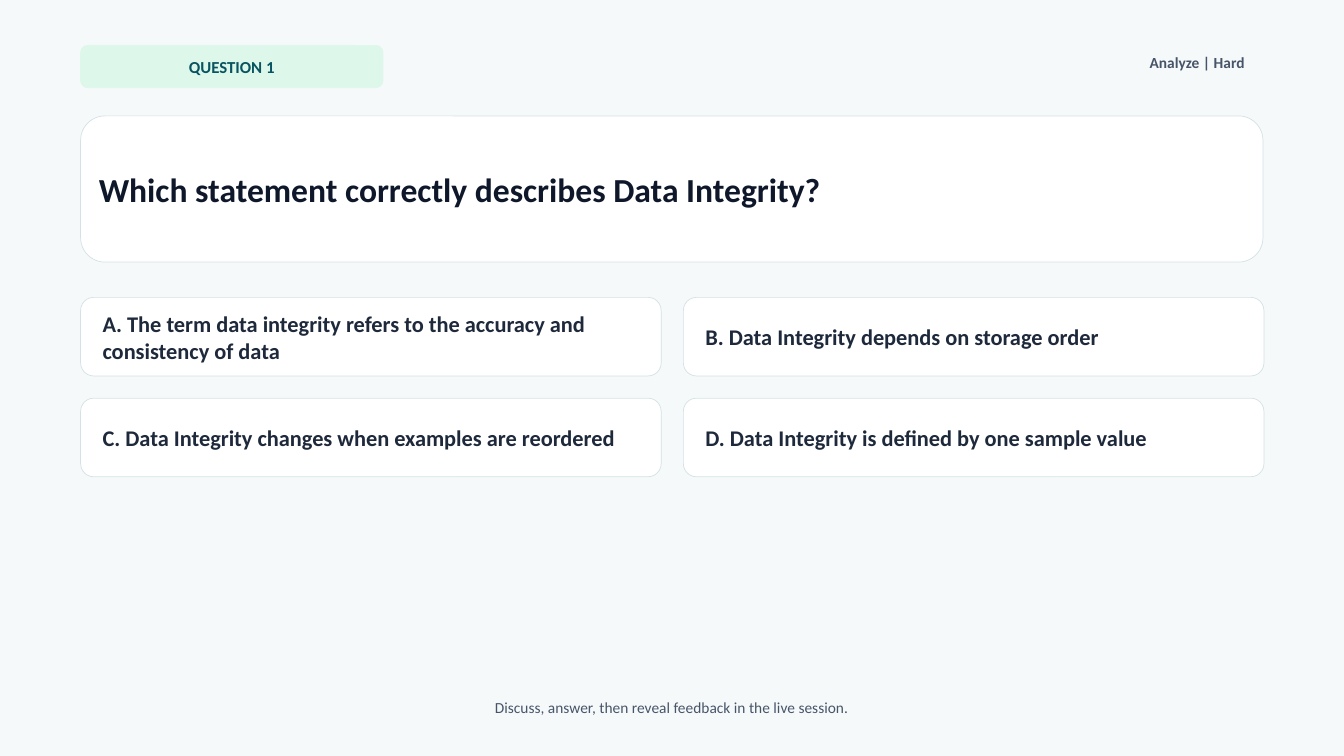
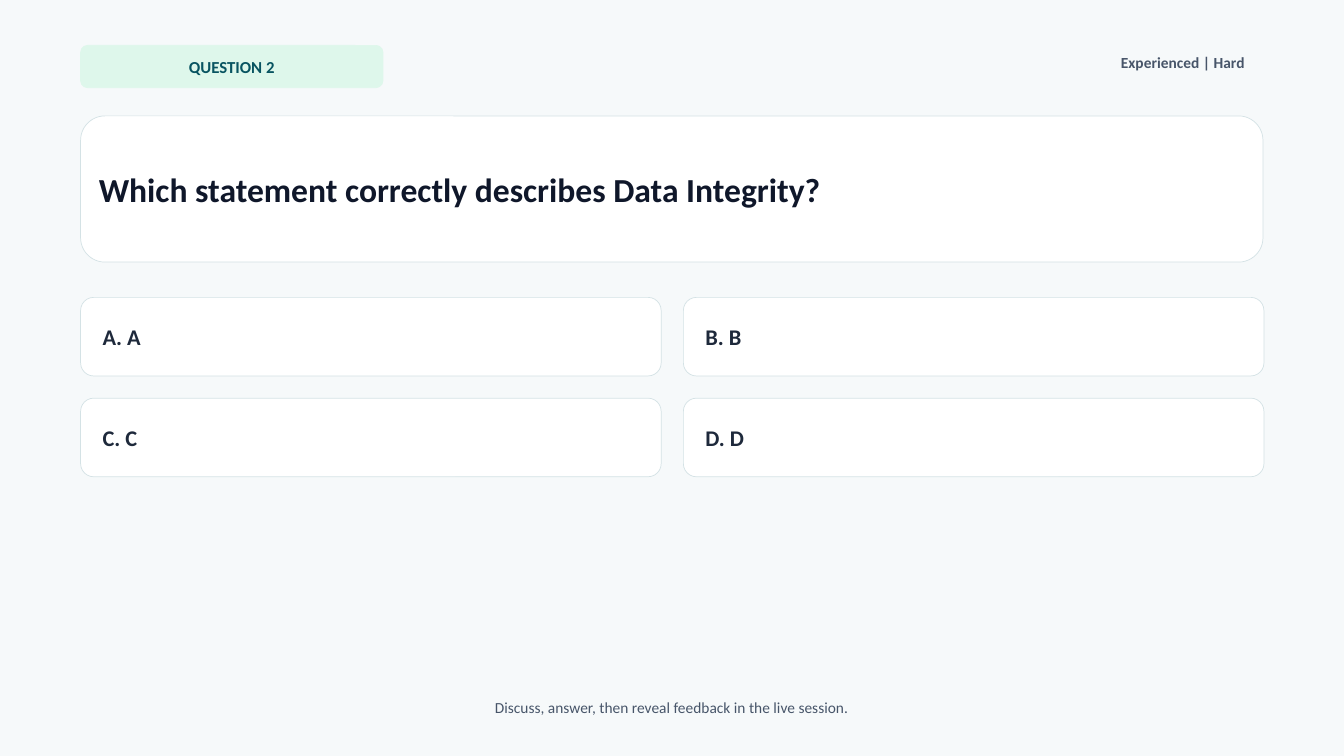
from pptx import Presentation
from pptx.dml.color import RGBColor
from pptx.enum.shapes import MSO_SHAPE
from pptx.enum.text import MSO_ANCHOR, MSO_AUTO_SIZE, PP_ALIGN
from pptx.util import Emu, Pt

SLIDES = [
    ("QUESTION 1", "Analyze | Hard",
     "Which statement correctly describes Data Integrity?",
     ["The term data integrity refers to the accuracy and consistency of data",
      "Data Integrity depends on storage order",
      "Data Integrity changes when examples are reordered",
      "Data Integrity is defined by one sample value"]),
    ("QUESTION 2", "Experienced | Hard",
     "Which statement correctly describes Data Integrity?",
     ["A", "B", "C", "D"]),
]
FOOT = "Discuss, answer, then reveal feedback in the live session."

PX = 9144
FONT = "Calibri"
PAGE, WHITE, EDGE = "F6F9FA", "FFFFFF", "D4E2E5"
MINT, TEAL = "DEF7EB", "085461"
INK, DARK, GREY = "0F172A", "1E293B", "475569"

LEFT, WIDE = 80, 1173
TAG = (LEFT, 45, 300, 42)
LEVEL = (LEFT + WIDE - 320, 45, 320, 42)
CARD = (LEFT, 115, WIDE, 145)
NOTE = (LEFT, 685, WIDE, 28)
TOP, CELL_W, CELL_H, GAP = 295, 576, 78, 22


def scale(box):
    return [Emu(n * PX) for n in box]


def tint(text):
    return RGBColor.from_string(text)


def write(shape, text, size=16, color=DARK, bold=True,
          align=PP_ALIGN.LEFT, anchor=MSO_ANCHOR.MIDDLE):
    frame = shape.text_frame
    frame.word_wrap = True
    frame.auto_size = MSO_AUTO_SIZE.NONE
    frame.vertical_anchor = anchor
    frame.margin_left = frame.margin_right = Emu(18 * PX)
    frame.margin_top = frame.margin_bottom = Emu(8 * PX)
    frame.text = text
    para = frame.paragraphs[0]
    para.alignment = align
    font = para.runs[0].font
    font.name, font.size, font.bold = FONT, Pt(size), bold
    font.color.rgb = tint(color)


def panel(slide, box, fill=WHITE, edge=EDGE):
    shape = slide.shapes.add_shape(MSO_SHAPE.ROUNDED_RECTANGLE, *scale(box))
    shape.shadow.inherit = False
    shape.fill.solid()
    shape.fill.fore_color.rgb = tint(fill)
    shape.line.color.rgb = tint(edge)
    shape.line.width = Pt(0.5)
    return shape


def label(slide, box, text, **style):
    write(slide.shapes.add_textbox(*scale(box)), text, size=11, color=GREY,
          anchor=MSO_ANCHOR.TOP, **style)


def head(slide, text):
    card = panel(slide, CARD)
    title = slide.shapes.title
    title.left, title.top, title.width, title.height = scale(CARD)
    write(title, text, size=24, color=INK)
    card._element.addnext(title._element)


def build(deck, tag, level, ask, picks):
    slide = deck.slides.add_slide(deck.slide_layouts[5])
    write(panel(slide, TAG, MINT, MINT), tag, size=12, color=TEAL,
          align=PP_ALIGN.CENTER)
    label(slide, LEVEL, level, align=PP_ALIGN.RIGHT)
    head(slide, ask)
    for i, (mark, pick) in enumerate(zip("ABCD", picks)):
        row, col = divmod(i, 2)
        box = (LEFT + col * (CELL_W + GAP), TOP + row * (CELL_H + GAP),
               CELL_W, CELL_H)
        write(panel(slide, box), f"{mark}. {pick}")
    label(slide, NOTE, FOOT, bold=False, align=PP_ALIGN.CENTER)


def main():
    deck = Presentation()
    deck.slide_width, deck.slide_height = Emu(12192000), Emu(750 * PX)
    ground = deck.slide_master.background.fill
    ground.solid()
    ground.fore_color.rgb = tint(PAGE)
    for item in SLIDES:
        build(deck, *item)
    deck.save("out.pptx")


if __name__ == "__main__":
    main()
